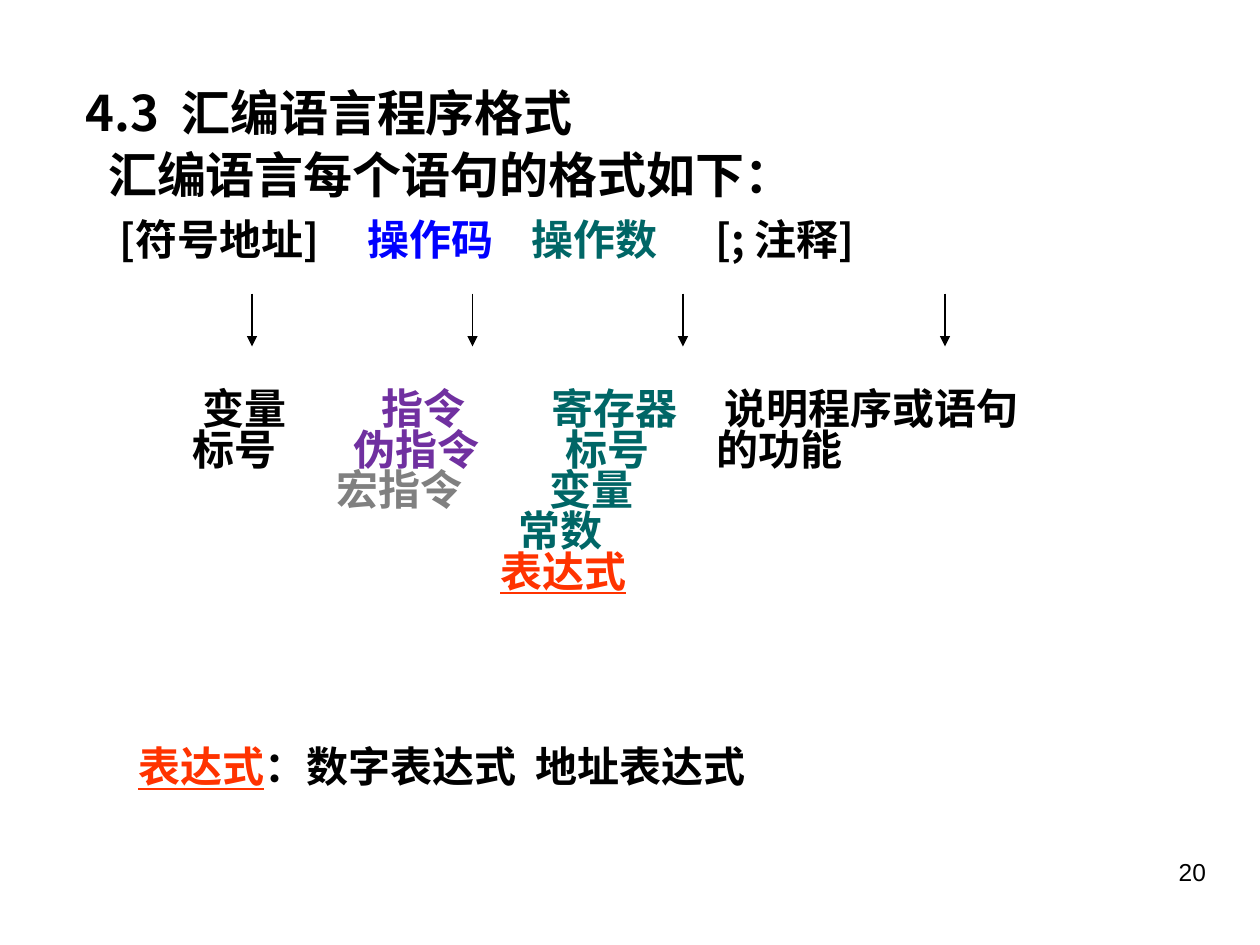
"""Builds the slide on the statement format of assembly language."""
from dataclasses import dataclass

from pptx import Presentation
from pptx.dml.color import RGBColor
from pptx.enum.shapes import MSO_CONNECTOR
from pptx.enum.text import MSO_ANCHOR, PP_ALIGN
from pptx.oxml.ns import qn
from pptx.util import Inches, Pt
from lxml import etree

STRAIGHT = MSO_CONNECTOR.STRAIGHT
MIDDLE, TOP = MSO_ANCHOR.MIDDLE, MSO_ANCHOR.TOP
LEFT, CENTER, RIGHT = PP_ALIGN.LEFT, PP_ALIGN.CENTER, PP_ALIGN.RIGHT


@dataclass(frozen=True)
class Theme:
    sans: str = "Noto Sans CJK SC"
    serif: str = "Times New Roman"
    number_font: str = "Arial"
    black: str = "000000"
    blue: str = "0000FF"
    teal: str = "006666"
    purple: str = "7030A0"
    gray: str = "808080"
    red: str = "FF3300"
    title: int = 28
    body: int = 24
    number: int = 14


THEME = Theme()


def span(text, color=THEME.black, size=THEME.body, font=THEME.sans, bold=True, underline=False):
    return dict(text=text, color=color, size=size, font=font, bold=bold, underline=underline)


class SlideBuilder:
    def __init__(self, page):
        self.page = page

    def add_span(self, para, text, color, size, font, bold, underline):
        run = para.add_run()
        run.text = text
        run.font.name, run.font.size = font, Pt(size)
        run.font.bold, run.font.underline = bold, underline
        run.font.color.rgb = RGBColor.from_string(color)
        east_asian = THEME.sans if font == THEME.serif else font
        latin = run.font._element.find(qn("a:latin"))
        latin.addnext(latin.makeelement(qn("a:ea"), {"typeface": east_asian}))

    def add_tabs(self, para, stops):
        tab_list = etree.SubElement(para._p.get_or_add_pPr(), qn("a:tabLst"))
        for stop in stops:
            etree.SubElement(tab_list, qn("a:tab"), pos=str(Inches(stop)), algn="l")

    def text(self, left, top, width, height, lines, align=LEFT, anchor=MIDDLE,
             spacing=1.0, before=0, wrap=True):
        box = self.page.shapes.add_textbox(Inches(left), Inches(top), Inches(width), Inches(height))
        frame = box.text_frame
        frame.word_wrap, frame.vertical_anchor = wrap, anchor
        for index, (stops, spans) in enumerate(lines):
            para = frame.add_paragraph() if index else frame.paragraphs[0]
            para.alignment, para.line_spacing = align, spacing
            para.space_before = Pt(before)
            if stops:
                self.add_tabs(para, stops)
            for item in spans:
                self.add_span(para, **item)

    def down_arrow(self, x, top, bottom):
        arrow = self.page.shapes.add_connector(STRAIGHT, Inches(x), Inches(top), Inches(x), Inches(bottom))
        arrow.line.color.rgb = RGBColor.from_string(THEME.black)
        arrow.line.width = Pt(1)
        etree.SubElement(arrow.line._get_or_add_ln(), qn("a:tailEnd"), type="triangle")
        etree.SubElement(arrow._element.spPr, qn("a:effectLst"))


def main():
    deck = Presentation()
    deck.slide_width, deck.slide_height = Inches(10), Inches(7.5)
    builder = SlideBuilder(deck.slides.add_slide(deck.slide_layouts[6]))

    builder.text(7.17, 6.75, 2.5, 0.52, [
        ((), [span("20", size=THEME.number, font=THEME.number_font, bold=False)]),
    ], align=RIGHT, anchor=TOP)

    builder.text(0.58, 0.58, 7.62, 1.69, [
        ((), [span("4.3  汇编语言程序格式", size=THEME.title)]),
        ((0.18,), [span("\t汇编语言每个语句的格式如下：", size=THEME.title)]),
        ((0.27, 2.24, 3.54, 5.0), [
            span("\t", size=THEME.title),
            span("[符号地址]"),
            span("\t操作码", THEME.blue),
            span("\t操作数", THEME.teal),
            span("\t[; 注释]"),
        ]),
    ], spacing=0.8, before=8.7)

    operands = THEME.teal
    builder.text(0.92, 2.98, 7.99, 1.95, [
        ((0.59, 2.01, 3.36, 4.73), [
            span("\t变量"), span("\t指令", THEME.purple),
            span("\t寄存器", operands), span("\t说明程序或语句"),
        ]),
        ((0.51, 1.79, 3.47, 4.67), [
            span("\t标号"), span("\t伪指令", THEME.purple),
            span("\t标号", operands), span("\t的功能"),
        ]),
        ((1.65, 3.34), [span("\t宏指令", THEME.gray), span("\t变量", operands)]),
        ((3.1,), [span("\t常数", operands)]),
        ((2.95,), [span("\t", THEME.red), span("表达式", THEME.red, underline=True)]),
    ], spacing=0.5, before=8.8)

    for x in (2, 3.75, 5.42, 7.5):
        builder.down_arrow(x, 2.33, 2.75)

    builder.text(0.99, 5.83, 5.03, 0.5, [
        ((), [
            span("表达式", THEME.red, font=THEME.serif, underline=True),
            span("：数字表达式  地址表达式", font=THEME.serif),
        ]),
    ], align=CENTER, wrap=False)

    deck.save("out.pptx")


if __name__ == "__main__":
    main()
